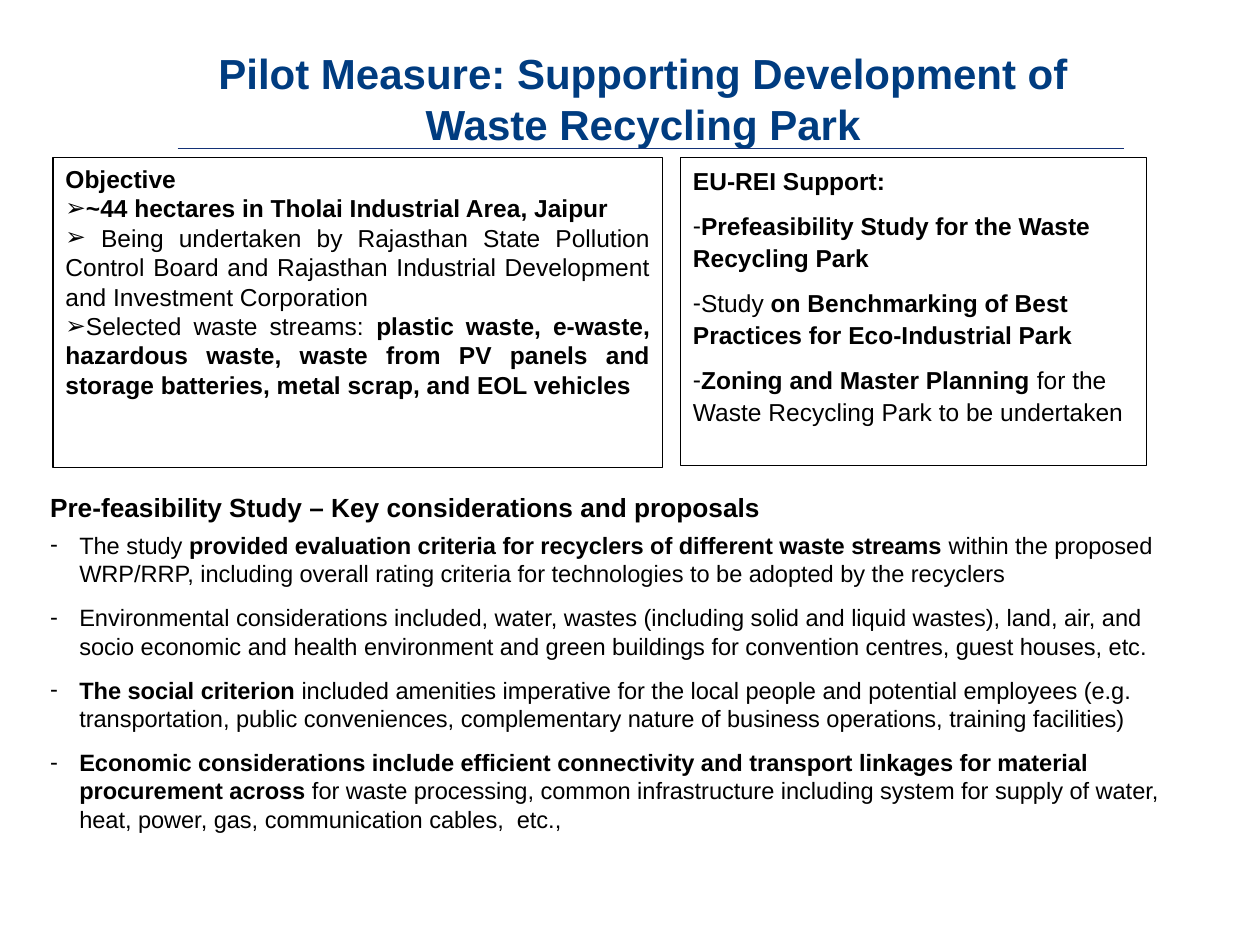
from lxml import etree
from pptx import Presentation
from pptx.dml.color import RGBColor
from pptx.enum.shapes import MSO_CONNECTOR as CONN, MSO_SHAPE as SHAPE
from pptx.enum.text import MSO_ANCHOR as ANCHOR, PP_ALIGN as ALIGN
from pptx.oxml.ns import qn
from pptx.util import Cm, Pt

BLACK, TITLE_BLUE, RULE_BLUE = "000000", "003C80", "133176"

OBJECTIVES = [
    [("~44 hectares in Tholai Industrial Area, Jaipur", True)],
    [(" Being undertaken by Rajasthan State Pollution Control Board and Rajasthan "
      "Industrial Development and Investment Corporation", False)],
    [("Selected waste streams: ", False),
     ("plastic waste, e-waste, hazardous waste, waste from PV panels and storage "
      "batteries, metal scrap, and EOL vehicles", True)],
]
SUPPORT = [
    [("Prefeasibility Study for the Waste Recycling Park", True)],
    [("Study ", False),
     ("on Benchmarking of Best Practices for Eco-Industrial Park", True)],
    [("Zoning and Master Planning ", True),
     ("for the Waste Recycling Park to be undertaken", False)],
]
PROPOSALS = [
    [("The study ", False),
     ("provided evaluation criteria for recyclers of different waste streams ", True),
     ("within the proposed WRP/RRP, including overall rating criteria for "
      "technologies to be adopted by the recyclers", False)],
    [("Environmental considerations included, water, wastes (including solid and "
      "liquid wastes), land, air, and socio economic and health environment and "
      "green buildings for convention centres, guest houses, etc.", False)],
    [("The social criterion ", True),
     ("included amenities imperative for the local people and potential employees "
      "(e.g. transportation, public conveniences, complementary nature of business "
      "operations, training facilities)", False)],
    [("Economic considerations include efficient connectivity and transport linkages "
      "for material procurement across", True),
     (" for waste processing, common infrastructure including system for supply of "
      "water, heat, power, gas, communication cables,  etc.,", False)],
]


def rgb(value):
    return RGBColor.from_string(value)


def set_attrs(obj, values):
    for name, value in values.items():
        setattr(obj, name, value)


def add_bullet(p, char, left, hang):
    pPr = p._p.get_or_add_pPr()
    pPr.set("marL", str(Cm(left)))
    pPr.set("indent", str(-Cm(hang)))
    etree.SubElement(pPr, qn("a:buFont")).set("typeface", "Arial")
    etree.SubElement(pPr, qn("a:buChar")).set("char", char)


def write_paragraph(p, runs, size, color=BLACK, bullet=None, **fmt):
    if bullet:
        add_bullet(p, *bullet)
    set_attrs(p, fmt)
    for text, bold in runs:
        r = p.add_run()
        r.text = text
        set_attrs(r.font, {"name": "Arial", "size": Pt(size), "bold": bold})
        r.font.color.rgb = rgb(color)


def write_list(tf, heading, items, size, heading_size, heading_fmt, item_fmt):
    set_attrs(tf, {"word_wrap": True, "vertical_anchor": ANCHOR.TOP})
    write_paragraph(tf.paragraphs[0], [(heading, True)], heading_size, **heading_fmt)
    for runs in items:
        write_paragraph(tf.add_paragraph(), runs, size, **item_fmt)


def add_title(s, x, y, w, h):
    tf = s.shapes.add_textbox(Cm(x), Cm(y), Cm(w), Cm(h)).text_frame
    tf.word_wrap = True
    write_paragraph(tf.paragraphs[0],
                    [("Pilot Measure: Supporting Development of Waste Recycling Park", True)],
                    24, TITLE_BLUE, alignment=ALIGN.CENTER)
    rule_y = Cm(y + h + 0.18)
    rule = s.shapes.add_connector(CONN.STRAIGHT, Cm(x), rule_y, Cm(x + w + 0.3), rule_y)
    rule.line.color.rgb = rgb(RULE_BLUE)
    rule.line.width = Pt(0.75)
    etree.SubElement(rule._element.spPr, qn("a:effectLst"))


def add_panel(s, box, heading, items, heading_fmt, item_fmt):
    sp = s.shapes.add_shape(SHAPE.RECTANGLE, *map(Cm, box))
    sp.shadow.inherit = False
    sp.fill.background()
    sp.line.color.rgb = rgb(BLACK)
    sp.line.width = Pt(0.75)
    write_list(sp.text_frame, heading, items, 14, 14, heading_fmt, item_fmt)


def add_proposals(s, x, y, w, h):
    tf = s.shapes.add_textbox(Cm(x), Cm(y), Cm(w), Cm(h)).text_frame
    write_list(tf, "Pre-feasibility Study – Key considerations and proposals", PROPOSALS,
               13.5, 15, {},
               {"bullet": ("-", 0.59, 0.59), "space_before": Pt(4.5), "space_after": Pt(4.5)})


def main():
    prs = Presentation()
    set_attrs(prs, {"slide_width": Cm(25.4), "slide_height": Cm(19.05)})
    s = prs.slides.add_slide(prs.slide_layouts[6])
    add_title(s, 3.58, 0.84, 18.77, 1.98)
    add_panel(s, (1.07, 3.18, 12.29, 6.25), "Objective", OBJECTIVES,
              {"alignment": ALIGN.LEFT},
              {"alignment": ALIGN.JUSTIFY, "bullet": ("➢", 0, 0)})
    spaced = {"alignment": ALIGN.LEFT, "line_spacing": 1.07, "space_after": Pt(8)}
    add_panel(s, (13.72, 3.18, 9.4, 6.2), "EU-REI Support:", SUPPORT,
              spaced, {**spaced, "bullet": ("-", 0, 0.79)})
    add_proposals(s, 0.76, 9.78, 23.06, 7.34)
    prs.save("out.pptx")


if __name__ == "__main__":
    main()
